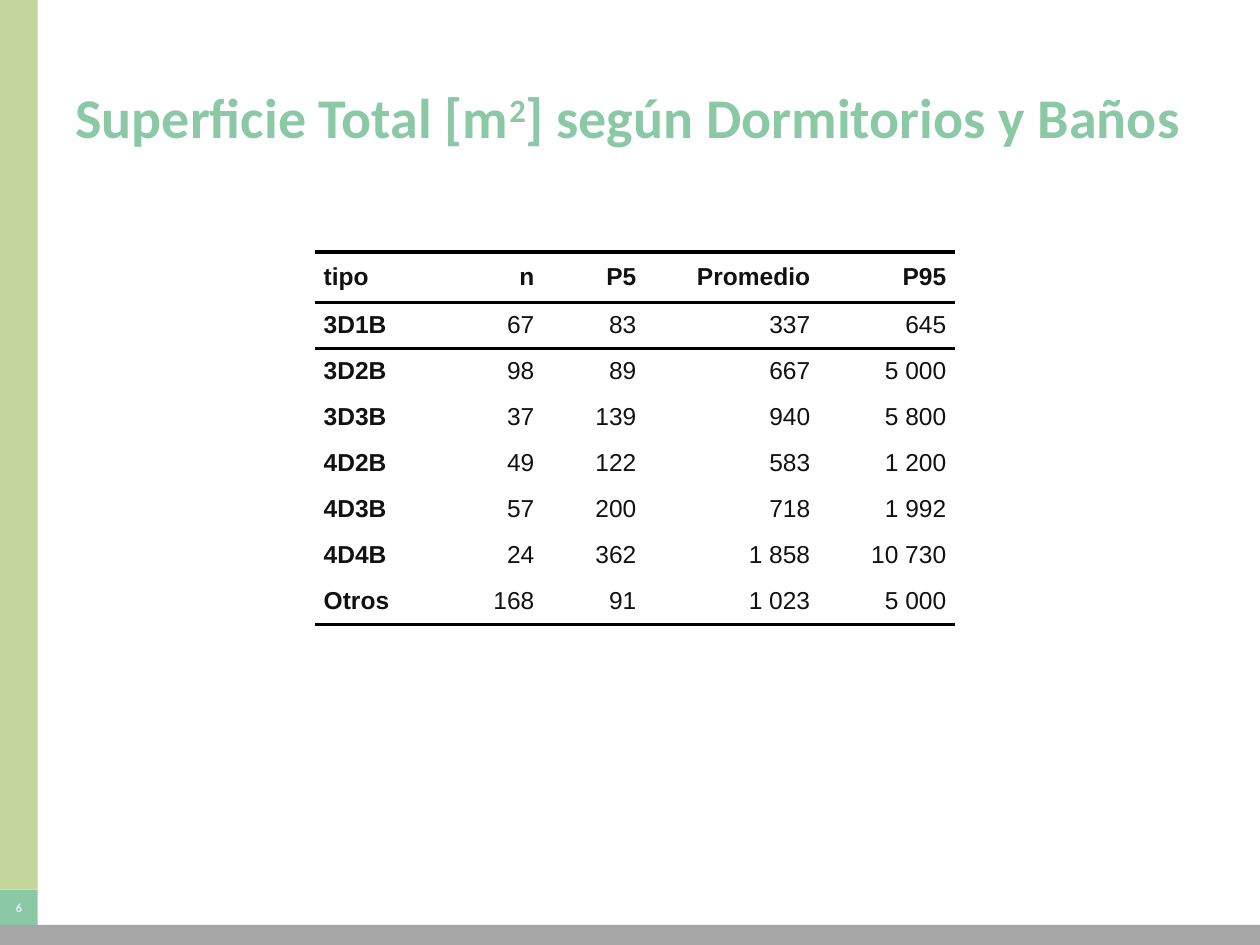
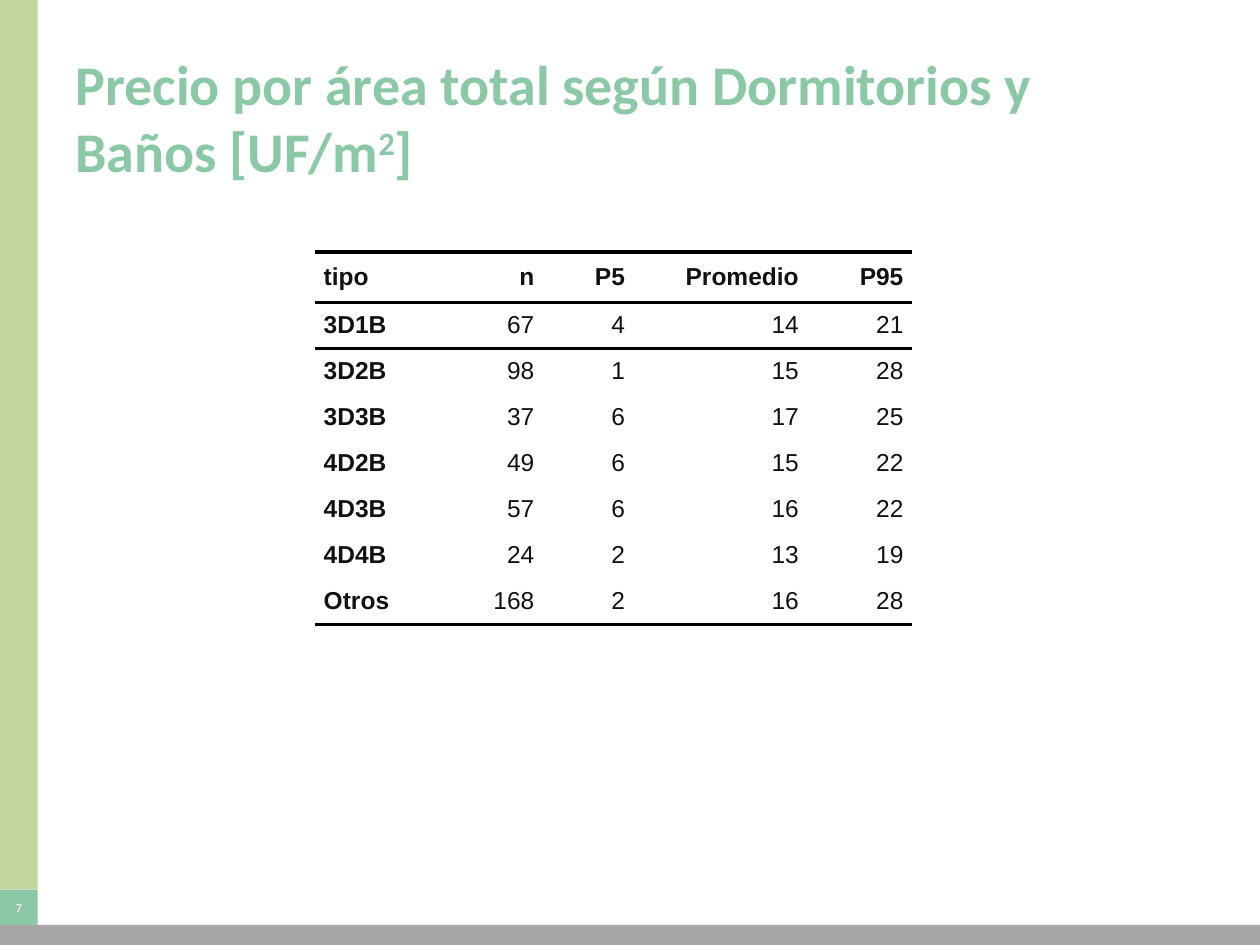
from lxml.etree import SubElement
from pptx import Presentation
from pptx.dml.color import RGBColor
from pptx.enum.shapes import MSO_SHAPE
from pptx.enum.text import MSO_ANCHOR, PP_ALIGN
from pptx.oxml.ns import qn
from pptx.util import Emu, Inches, Pt

COLORS = {"band": "C3D69B", "accent": "8BC8A6", "footer": "A6A6A6",
          "number": "ECECEC", "text": "111111", "rule": "000000"}
COLS, ROWS = 20, 15
UNIT = Inches(10) // COLS
PLAIN_TABLE = "{2D5ABB26-0587-4C30-8999-92F81FD0307C}"

# Boxes are left, top, width, height in grid columns and rows
BAND_BOX = (0, 0, 0.6, 14.12)
NUMBER_BOX = (0, 14.12, 0.6, 0.56)
FOOTER_BOX = (0, 14.68, COLS, 0.32)
TITLE_BOX = (1, 0.6, 18, 2.5)
TABLE_ORIGIN = (5, 4)
HEAD_ROW, BODY_ROW = 0.8, 0.73

HEADER = ["tipo", "n", "P5", "Promedio", "P95"]
TYPES = ["3D1B", "3D2B", "3D3B", "4D2B", "4D3B", "4D4B", "Otros"]
COUNTS = ["67", "98", "37", "49", "57", "24", "168"]

SLIDES = [
    {"number": 6,
     "title": ("Superficie Total [m", "2", "] según Dormitorios y Baños"),
     "widths": [2, 1.62, 1.62, 2.76, 2.16],
     "stats": [("83", "337", "645"), ("89", "667", "5 000"),
               ("139", "940", "5 800"), ("122", "583", "1 200"),
               ("200", "718", "1 992"), ("362", "1 858", "10 730"),
               ("91", "1 023", "5 000")]},
    {"number": 7,
     "title": ("Precio por área total según Dormitorios y Baños [UF/m", "2", "]"),
     "widths": [2, 1.62, 1.44, 2.76, 1.66],
     "stats": [("4", "14", "21"), ("1", "15", "28"), ("6", "17", "25"),
               ("6", "15", "22"), ("6", "16", "22"), ("2", "13", "19"),
               ("2", "16", "28")]},
]


def grid(*values):
    return [Emu(round(v * UNIT)) for v in values]


def set_font(p, name, size, color, bold=True):
    f = p.font
    f.name, f.size, f.bold = name, Pt(size), bold
    f.color.rgb = RGBColor.from_string(COLORS[color])


def add_block(s, box, color):
    sp = s.shapes.add_shape(MSO_SHAPE.RECTANGLE, *grid(*box))
    sp.shadow.inherit = False
    sp.fill.solid()
    sp.fill.fore_color.rgb = RGBColor.from_string(COLORS[color])
    sp.line.fill.background()
    return sp


def add_frame(s, number):
    """Side band, page number and footer strip."""
    add_block(s, BAND_BOX, "band")
    tf = add_block(s, NUMBER_BOX, "accent").text_frame
    tf.margin_left = tf.margin_right = tf.margin_top = tf.margin_bottom = 0
    tf.vertical_anchor = MSO_ANCHOR.MIDDLE
    p = tf.paragraphs[0]
    p.text, p.alignment = str(number), PP_ALIGN.CENTER
    set_font(p, "Calibri", 7, "number")
    add_block(s, FOOTER_BOX, "footer")


def add_title(s, box, parts):
    """Title whose second part is a superscript."""
    tf = s.shapes.add_textbox(*grid(*box)).text_frame
    tf.word_wrap = True
    tf.vertical_anchor = MSO_ANCHOR.MIDDLE
    p = tf.paragraphs[0]
    set_font(p, "Calibri", 32, "accent")
    for i, text in enumerate(parts):
        r = p.add_run()
        r.text = text
        if i == 1:
            r.font._element.set("baseline", "30000")


def add_rule(cell, side):
    ln = SubElement(cell._tc.get_or_add_tcPr(), qn("a:" + side), w=str(Pt(2)))
    fill = SubElement(ln, qn("a:solidFill"))
    SubElement(fill, qn("a:srgbClr"), val=COLORS["rule"])


def fill_cell(cell, text, bold, align, rules):
    for side in rules:
        add_rule(cell, side)
    cell.fill.background()
    cell.margin_left = cell.margin_right = cell.margin_top = cell.margin_bottom = 0
    cell.vertical_anchor = MSO_ANCHOR.MIDDLE
    p = cell.text_frame.paragraphs[0]
    p.text, p.alignment = text, align
    p.space_before = p.space_after = Pt(2)
    set_font(p, "Arial", 14, "text", bold)
    for margin in ("marL", "marR"):
        p._p.get_or_add_pPr().set(margin, str(Pt(5)))


def add_stats_table(s, origin, widths, stats):
    data = [HEADER] + [[t, n, *row] for t, n, row in zip(TYPES, COUNTS, stats)]
    last = len(data) - 1
    size = (sum(widths), HEAD_ROW + last * BODY_ROW)
    table = s.shapes.add_table(len(data), len(HEADER), *grid(*origin, *size)).table
    table._tbl.tblPr.find(qn("a:tableStyleId")).text = PLAIN_TABLE
    table.horz_banding = False
    for col, width in zip(table.columns, grid(*widths)):
        col.width = width
    rules = {0: ("lnT", "lnB"), 1: ("lnT",), last: ("lnB",)}
    for i, row in enumerate(data):
        table.rows[i].height = grid(BODY_ROW if i else HEAD_ROW)[0]
        for j, text in enumerate(row):
            fill_cell(table.cell(i, j), text, i == 0 or j == 0,
                      PP_ALIGN.RIGHT if j else PP_ALIGN.LEFT, rules.get(i, ()))


def main():
    prs = Presentation()
    prs.slide_width, prs.slide_height = grid(COLS, ROWS)
    for info in SLIDES:
        s = prs.slides.add_slide(prs.slide_layouts[6])
        add_frame(s, info["number"])
        add_title(s, TITLE_BOX, info["title"])
        add_stats_table(s, TABLE_ORIGIN, info["widths"], info["stats"])
    prs.save("out.pptx")


if __name__ == "__main__":
    main()
